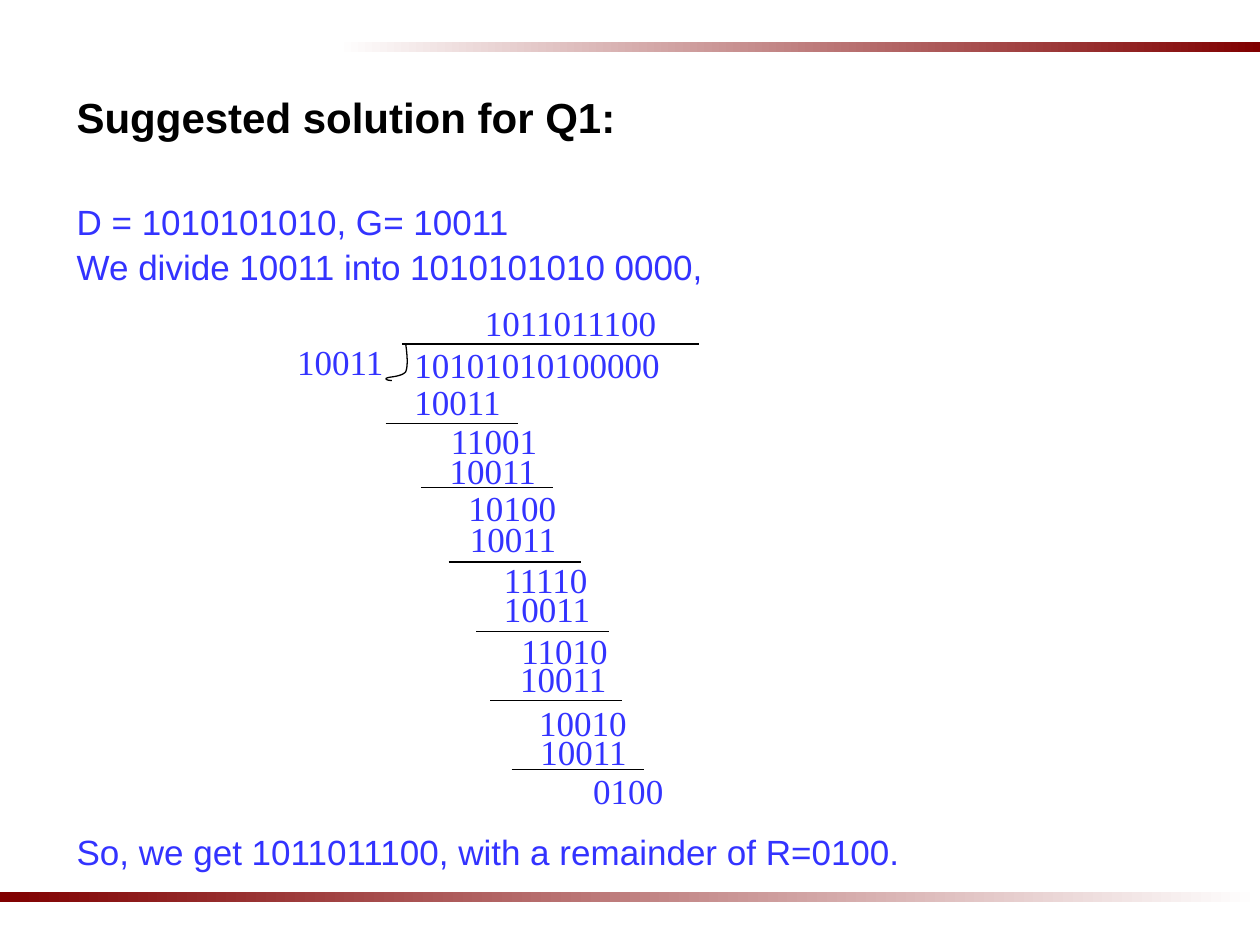
from dataclasses import dataclass

from lxml import etree
from pptx import Presentation
from pptx import util as u
from pptx.dml import color
from pptx.enum import shapes, text
from pptx.oxml import ns

PX = 9144


@dataclass(frozen=True)
class Theme:
    ink: str = "000000"
    digits: str = "3333FF"
    paper: str = "FFFFFF"
    band: str = "800000"
    sans: str = "Arial"
    serif: str = "Times New Roman"
    title: int = 24
    body: int = 20
    rule: float = 0.75


def rgb(value):
    return color.RGBColor.from_string(value)


def bezier(points, steps=12):
    for i in range(1, steps + 1):
        t = i / steps
        weights = ((1 - t) ** 3, 3 * t * (1 - t) ** 2, 3 * t * t * (1 - t), t ** 3)
        yield tuple(PX * sum(w * p[axis] for w, p in zip(weights, points)) for axis in (0, 1))


class Canvas:
    def __init__(self, slide, theme):
        self.s = slide
        self.theme = theme

    def band(self, x, y, w, h, start, end):
        sp = self.s.shapes.add_shape(shapes.MSO_SHAPE.RECTANGLE, x * PX, y * PX, w * PX, h * PX)
        sp.shadow.inherit = False
        sp.line.fill.background()
        sp.fill.gradient()
        sp.fill.gradient_angle = 0
        for stop, position, value in zip(sp.fill.gradient_stops, (0, 1), (start, end)):
            stop.position = position
            stop.color.rgb = rgb(value)

    def run(self, p, words, font, size, value, bold=False):
        r = p.add_run()
        r.text = words
        r.font.name = font
        r.font.size = u.Pt(size)
        r.font.bold = bold
        r.font.color.rgb = rgb(value)

    def paragraphs(self, x, y, w, h, rows):
        tf = self.s.shapes.add_textbox(x * PX, y * PX, w * PX, h * PX).text_frame
        tf.word_wrap = True
        for i, (words, size, value, bold, gap) in enumerate(rows):
            p = tf.add_paragraph() if i else tf.paragraphs[0]
            p.space_before = u.Pt(gap)
            self.run(p, words, self.theme.sans, size, value, bold)

    def number(self, x, y, w, digits):
        tf = self.s.shapes.add_textbox(x * PX, y * PX, w * PX, 44 * PX).text_frame
        tf.word_wrap = False
        tf.auto_size = text.MSO_AUTO_SIZE.SHAPE_TO_FIT_TEXT
        self.run(tf.paragraphs[0], digits, self.theme.serif, self.theme.body, self.theme.digits)

    def stroke(self, sp):
        sp.line.color.rgb = rgb(self.theme.ink)
        sp.line.width = u.Pt(self.theme.rule)

    def rule(self, x, y, w):
        sp = self.s.shapes.add_connector(
            shapes.MSO_CONNECTOR.STRAIGHT, x * PX, y * PX, (x + w) * PX, y * PX)
        self.stroke(sp)
        etree.SubElement(sp.element.spPr, ns.qn("a:effectLst"))

    def curve(self, start, segments):
        pen = self.s.shapes.build_freeform(start[0] * PX, start[1] * PX)
        for segment in segments:
            pen.add_line_segments(list(bezier((start, *segment))), close=False)
            start = segment[-1]
        sp = pen.convert_to_shape()
        sp.shadow.inherit = False
        sp.fill.background()
        self.stroke(sp)


def main():
    prs = Presentation()
    prs.slide_width, prs.slide_height = 1000 * PX, 750 * PX
    t = Theme()
    c = Canvas(prs.slides.add_slide(prs.slide_layouts[6]), t)

    c.band(267, 33, 733, 8, t.paper, t.band)
    c.band(0, 708, 1000, 8, t.band, t.paper)
    c.paragraphs(51, 68, 937, 638, [
        ("Suggested solution for Q1:", t.title, t.ink, True, 0),
        ("D = 1010101010, G= 10011", t.body, t.digits, False, 33),
        ("We divide 10011 into 1010101010 0000,", t.body, t.digits, False, 2),
        ("So, we get 1011011100, with a remainder of R=0100.", t.body, t.digits, False, 310),
    ])

    divisor = "10011"
    c.number(375, 234, 157, "1011011100")
    c.number(226, 265, 89, divisor)
    c.number(319, 268, 224, "10101010100000")
    c.rule(319, 273, 236)
    c.curve((322, 273), [
        ((323, 281), (324, 290), (322, 295)),
        ((319, 299), (309, 299), (307, 300)),
        ((305, 301), (308, 302), (311, 302)),
    ])

    subtractions = [(319, 297), (347, 352), (363, 406), (390, 461), (403, 517), (419, 575)]
    rules = [(306, 336), (334, 387), (356, 446), (378, 501), (389, 556), (406, 611)]
    remainders = [
        (348, 328, 89, "11001"), (362, 381, 90, "10100"), (390, 438, 87, "11110"),
        (404, 495, 89, "11010"), (418, 552, 90, "10010"), (461, 606, 76, "0100"),
    ]
    for (x, y), (rule_x, rule_y), remainder in zip(subtractions, rules, remainders):
        c.number(x, y, 89, divisor)
        c.rule(rule_x, rule_y, 105)
        c.number(*remainder)

    prs.save("out.pptx")


if __name__ == "__main__":
    main()
